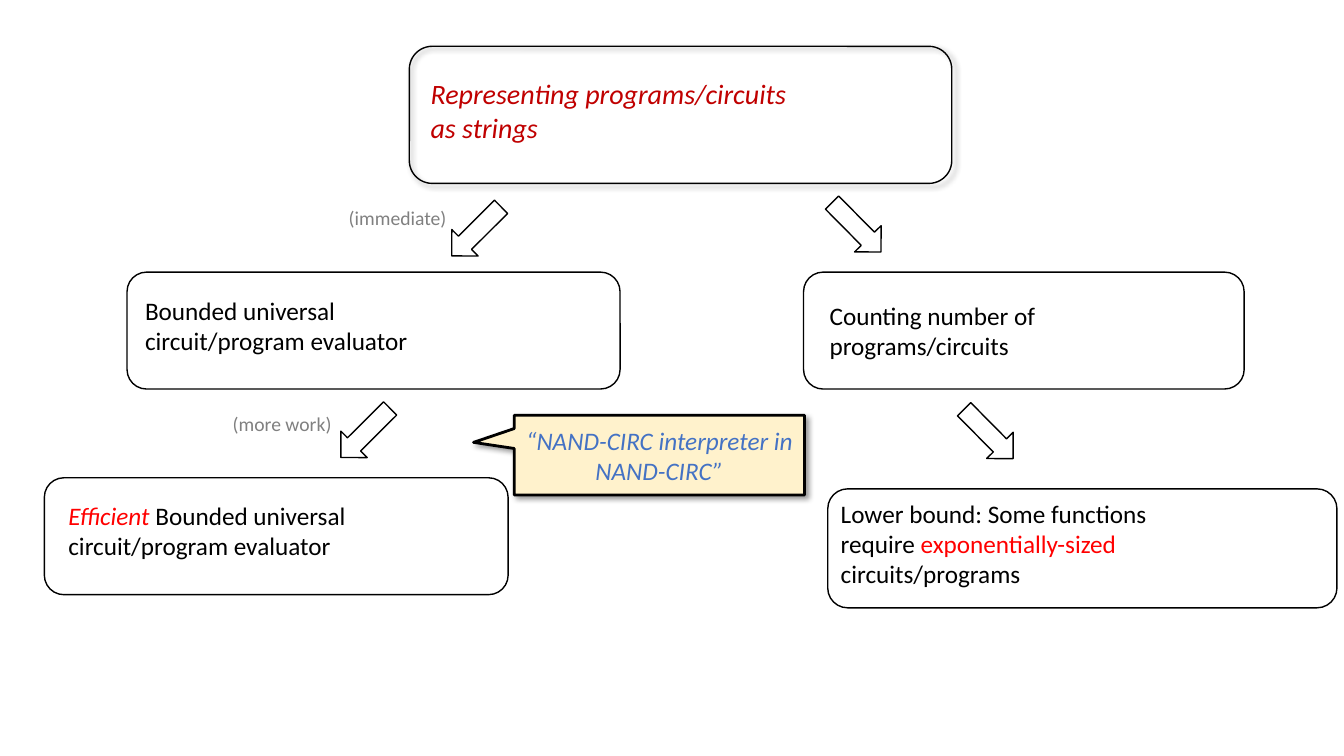
from lxml.etree import SubElement
from pptx import Presentation
from pptx.dml.color import RGBColor
from pptx.enum.shapes import MSO_SHAPE
from pptx.enum.text import MSO_ANCHOR, MSO_AUTO_SIZE, PP_ALIGN
from pptx.oxml.ns import qn
from pptx.util import Inches, Pt

BLACK = RGBColor(0x00, 0x00, 0x00)
RED = RGBColor(0xFF, 0x00, 0x00)
DARK_RED = RGBColor(0xC0, 0x00, 0x00)
BLUE = RGBColor(0x44, 0x72, 0xC4)
GRAY = RGBColor(0x80, 0x80, 0x80)
CREAM = RGBColor(0xFF, 0xF2, 0xCC)

# Content: runs are (text, colour, italic)
TITLE = [("Representing programs/circuits as strings", DARK_RED, True)]
CALLOUT = [("“NAND-CIRC interpreter in NAND-CIRC”", BLUE, True)]
# Boxes: (left, top, width, height), text (left, top, height), runs
ROOT_BOX = (4.06, 0.46, 5.38, 1.36)
BOXES = [
    ((1.26, 2.7, 4.89, 1.16), (1.34, 2.88, 0.71),
     [("Bounded universal circuit/program evaluator", BLACK, False)]),
    ((0.44, 4.74, 4.6, 1.16), (0.58, 4.91, 0.71),
     [("Efficient", RED, True),
      (" Bounded universal circuit/program evaluator", BLACK, False)]),
    ((7.97, 2.7, 4.37, 1.16), (8.13, 2.93, 0.71),
     [("Counting number of programs/circuits", BLACK, False)]),
    ((8.21, 4.85, 5.05, 1.18), (8.24, 4.89, 1.01),
     [("Lower bound: Some functions require ", BLACK, False),
      ("exponentially-sized", RED, False),
      (" circuits/programs", BLACK, False)]),
]
# Arrows: left, top, rotation
ARROWS = [(8.15, 2.07, 45.3), (9.46, 4.12, 45.3), (4.38, 2.11, 135.1), (3.28, 4.11, 135.1)]
NOTES = [("(immediate)", 3.36, 1.99), ("(more work)", 2.21, 4.04)]
TEXT_WIDTH = 3.64
ARROW_SIZE = (0.69, 0.37)
NOTE_SIZE = (1.39, 0.34)

deck = Presentation()
deck.slide_width, deck.slide_height = Inches(13.33), Inches(7.5)
page = deck.slides.add_slide(deck.slide_layouts[5])


def write(shape, runs, size, align=PP_ALIGN.LEFT, anchor=MSO_ANCHOR.TOP):
    frame = shape.text_frame
    for name, value in {"word_wrap": True, "auto_size": MSO_AUTO_SIZE.NONE,
                        "vertical_anchor": anchor}.items():
        setattr(frame, name, value)
    para = frame.paragraphs[0]
    para.alignment = align
    for text, color, italic in runs:
        span = para.add_run()
        span.text = text
        for name, value in {"name": "Calibri", "size": Pt(size), "italic": italic}.items():
            setattr(span.font, name, value)
        span.font.color.rgb = color


def add_text(area, runs, size):
    write(page.shapes.add_textbox(*map(Inches, area)), runs, size)


def add_outline(kind, area, line_width=1, fill=None):
    shape = page.shapes.add_shape(kind, *map(Inches, area))
    shape.shadow.inherit = False
    if fill is None:
        shape.fill.background()
    else:
        shape.fill.solid()
        shape.fill.fore_color.rgb = fill
    shape.line.color.rgb = BLACK
    shape.line.width = Pt(line_width)
    return shape


def add_shadow(shape):
    effects = shape._element.spPr.find(qn("a:effectLst"))
    shadow = SubElement(effects, qn("a:outerShdw"), blurRad=str(Pt(4)), dist=str(Pt(3)),
                        dir=str(45 * 60000), algn="tl", rotWithShape="0")
    color = SubElement(shadow, qn("a:srgbClr"), val=str(BLACK))
    SubElement(color, qn("a:alpha"), val="40000")


# Root of the diagram
title = page.shapes.title
title.left, title.top, title.width, title.height = map(Inches, (4.17, 0.71, 3.8, 0.77))
write(title, TITLE, 20)
add_shadow(add_outline(MSO_SHAPE.ROUNDED_RECTANGLE, ROOT_BOX))

# Boxes that follow from it
for area, (left, top, height), runs in BOXES:
    add_outline(MSO_SHAPE.ROUNDED_RECTANGLE, area)
    add_text((left, top, TEXT_WIDTH, height), runs, 18)

# Callout
callout = add_outline(MSO_SHAPE.RECTANGULAR_CALLOUT, (5.1, 4.12, 2.88, 0.79), 2, CREAM)
callout.adjustments[0], callout.adjustments[1] = -0.64, -0.16
add_shadow(callout)
write(callout, CALLOUT, 18, PP_ALIGN.CENTER, MSO_ANCHOR.MIDDLE)

# Arrows and their notes
for left, top, rotation in ARROWS:
    add_outline(MSO_SHAPE.RIGHT_ARROW, (left, top, *ARROW_SIZE)).rotation = rotation
for text, left, top in NOTES:
    add_text((left, top, *NOTE_SIZE), [(text, GRAY, False)], 14)

deck.save("out.pptx")
